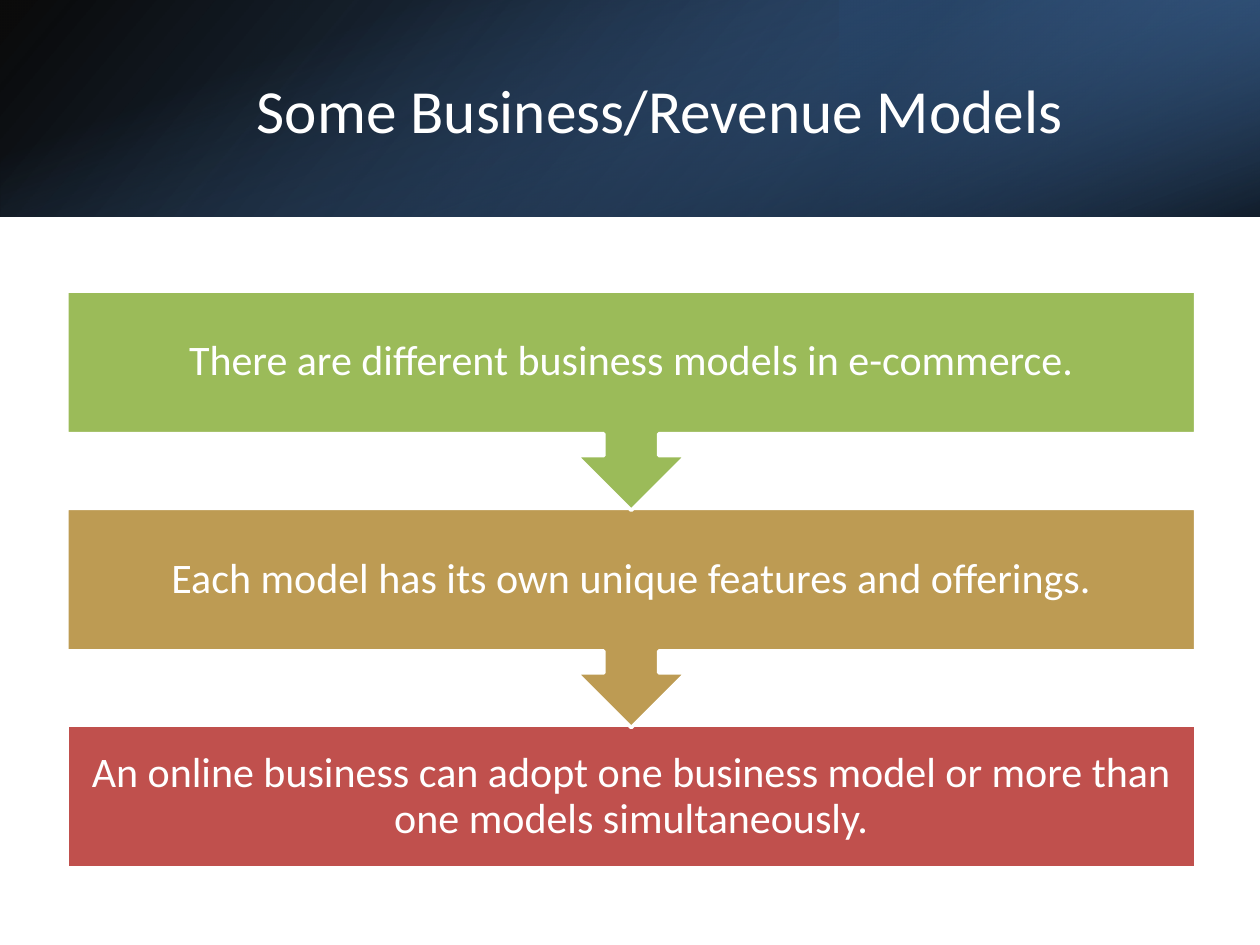
from lxml import etree
from pptx import Presentation
from pptx.dml.color import RGBColor
from pptx.enum.shapes import MSO_SHAPE
from pptx.enum.text import MSO_ANCHOR, PP_ALIGN
from pptx.oxml.ns import qn
from pptx.util import Cm, Pt

RECTANGLE = MSO_SHAPE.RECTANGLE
ARROW_CALLOUT = MSO_SHAPE.UP_ARROW_CALLOUT
MIDDLE = MSO_ANCHOR.MIDDLE
CENTER = PP_ALIGN.CENTER

WHITE = RGBColor(0xFF, 0xFF, 0xFF)
BLACK = RGBColor(0x00, 0x00, 0x00)
BLUE = RGBColor(0x4F, 0x81, 0xBD)
DARK_BLUE = RGBColor(0x37, 0x60, 0x92)
DEEP_BLUE = RGBColor(0x25, 0x40, 0x61)
GREEN = RGBColor(0x9B, 0xBB, 0x59)
GOLD = RGBColor(0xBD, 0x9B, 0x53)
RED = RGBColor(0xC0, 0x50, 0x4D)

STEPS = [
    ("There are different business models in e-commerce.", GREEN, ARROW_CALLOUT),
    ("Each model has its own unique features and offerings.", GOLD, ARROW_CALLOUT),
    ("An online business can adopt one business model or more than one models simultaneously.",
     RED, RECTANGLE),
]
STEP_LEFT, STEP_TOP, STEP_WIDTH, STEP_PITCH = 1.35, 5.87, 22.75, 4.38
BODY_HEIGHT, CALLOUT_HEIGHT = 2.87, 4.42
BANNER_WIDTH, BANNER_HEIGHT = 25.4, 4.37


class SlideBuilder:
    font_name = "Calibri"
    font_color = WHITE
    outline_color = WHITE
    outline_width = Pt(2)

    def __init__(self, slide):
        self.slide = slide

    def shape(self, kind, left, top, width, height, rotation=0):
        shape = self.slide.shapes.add_shape(kind, Cm(left), Cm(top), Cm(width), Cm(height))
        shape.shadow.inherit = False
        shape.rotation = rotation
        return shape

    def gradient(self, left, top, width, height, angle, stops, rotation=0, flipped=False):
        shape = self.shape(RECTANGLE, left, top, width, height, rotation)
        shape.line.fill.background()
        if flipped:
            shape._element.spPr.xfrm.set("flipH", "1")
        shape.fill.gradient()
        shape.fill.gradient_angle = 360 - angle
        for stop, (position, color, _) in zip(shape.fill.gradient_stops, stops):
            stop.position = position / 100
            stop.color.rgb = color
        colors = shape._element.spPr.iter(qn("a:srgbClr"))
        for color, (_, _, opacity) in zip(list(colors), stops):
            etree.SubElement(color, qn("a:alpha")).set("val", str(opacity * 1000))

    def block(self, kind, color, left, top, width, height, rotation=0):
        shape = self.shape(kind, left, top, width, height, rotation)
        shape.fill.solid()
        shape.fill.fore_color.rgb = color
        shape.line.color.rgb = self.outline_color
        shape.line.width = self.outline_width

    def text(self, text, left, top, width, height, size, inset=0.25, line_spacing=1.0):
        box = self.slide.shapes.add_textbox(Cm(left), Cm(top), Cm(width), Cm(height))
        frame = box.text_frame
        frame.word_wrap = True
        frame.vertical_anchor = MIDDLE
        frame.margin_left = frame.margin_right = Cm(inset)
        frame.margin_top = frame.margin_bottom = Cm(inset)
        frame.text = text
        paragraph = frame.paragraphs[0]
        paragraph.alignment = CENTER
        paragraph.line_spacing = line_spacing
        font = paragraph.runs[0].font
        font.name = self.font_name
        font.size = Pt(size)
        font.color.rgb = self.font_color

    def step(self, index, text, color, kind):
        top = STEP_TOP + index * STEP_PITCH
        is_callout = kind == ARROW_CALLOUT
        height = CALLOUT_HEIGHT if is_callout else BODY_HEIGHT
        self.block(kind, color, STEP_LEFT, top, STEP_WIDTH, height, 180 if is_callout else 0)
        self.text(text, STEP_LEFT, top, STEP_WIDTH, BODY_HEIGHT, 24, 0.48, 0.9)


def main():
    presentation = Presentation()
    presentation.slide_width = Cm(25.4)
    presentation.slide_height = Cm(19.05)
    builder = SlideBuilder(presentation.slides.add_slide(presentation.slide_layouts[6]))

    builder.gradient(0, 0, BANNER_WIDTH, BANNER_HEIGHT, 140,
                     [(0, BLACK, 96), (100, DARK_BLUE, 100)], flipped=True)
    builder.gradient(BANNER_WIDTH * 2 / 3, 0, BANNER_WIDTH / 3, BANNER_HEIGHT, 320,
                     [(19, DEEP_BLUE, 68), (100, BLUE, 79)], rotation=180, flipped=True)
    offset = (BANNER_WIDTH - BANNER_HEIGHT) / 2
    builder.gradient(offset, -offset, BANNER_HEIGHT, BANNER_WIDTH, 340,
                     [(23, BLUE, 0), (99, BLACK, 74)], rotation=90)
    builder.text("Some Business/Revenue Models", 2.84, 0.97, 20.93, 2.44, 35)

    for index, step in reversed(list(enumerate(STEPS))):
        builder.step(index, *step)

    presentation.save("out.pptx")


if __name__ == "__main__":
    main()
